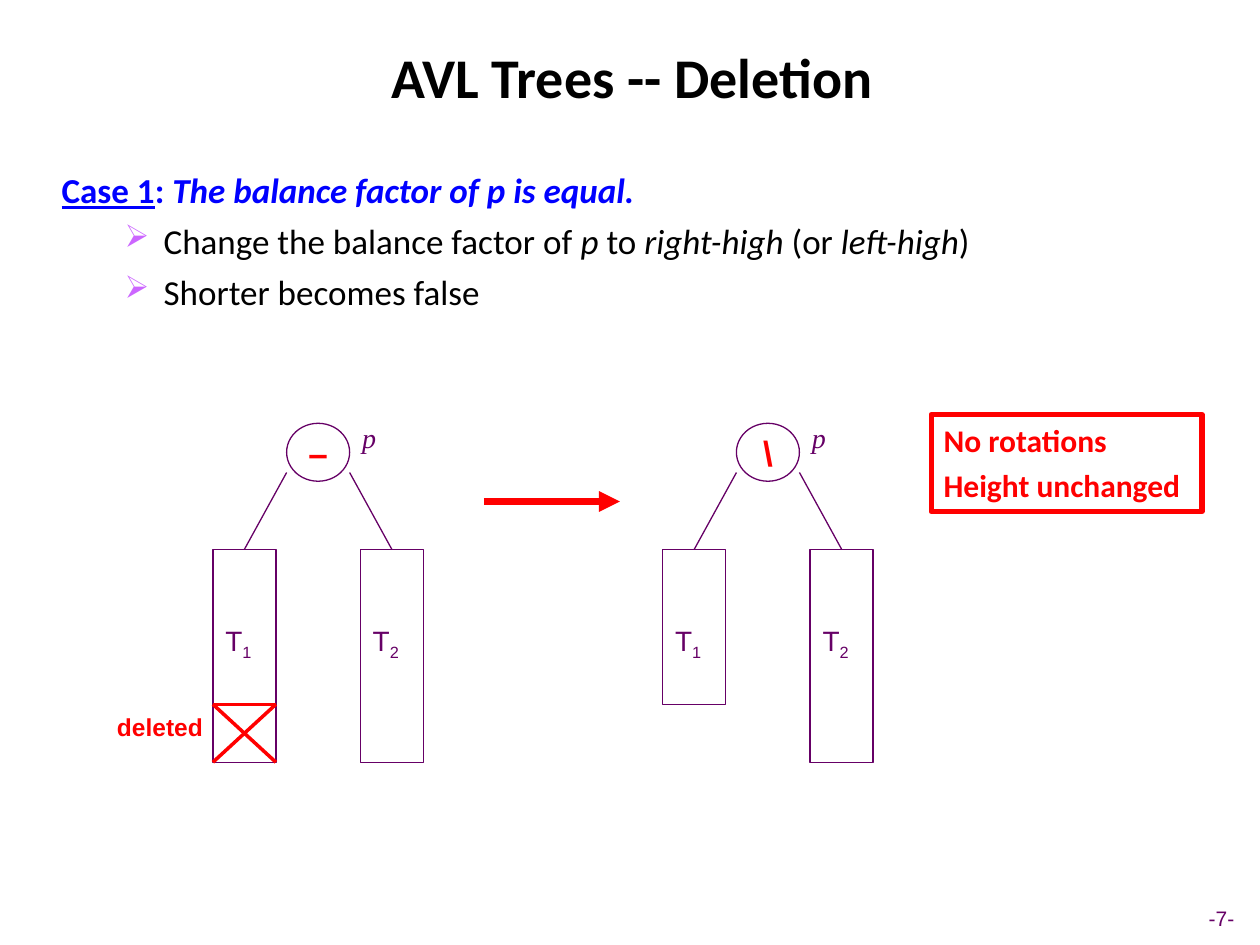
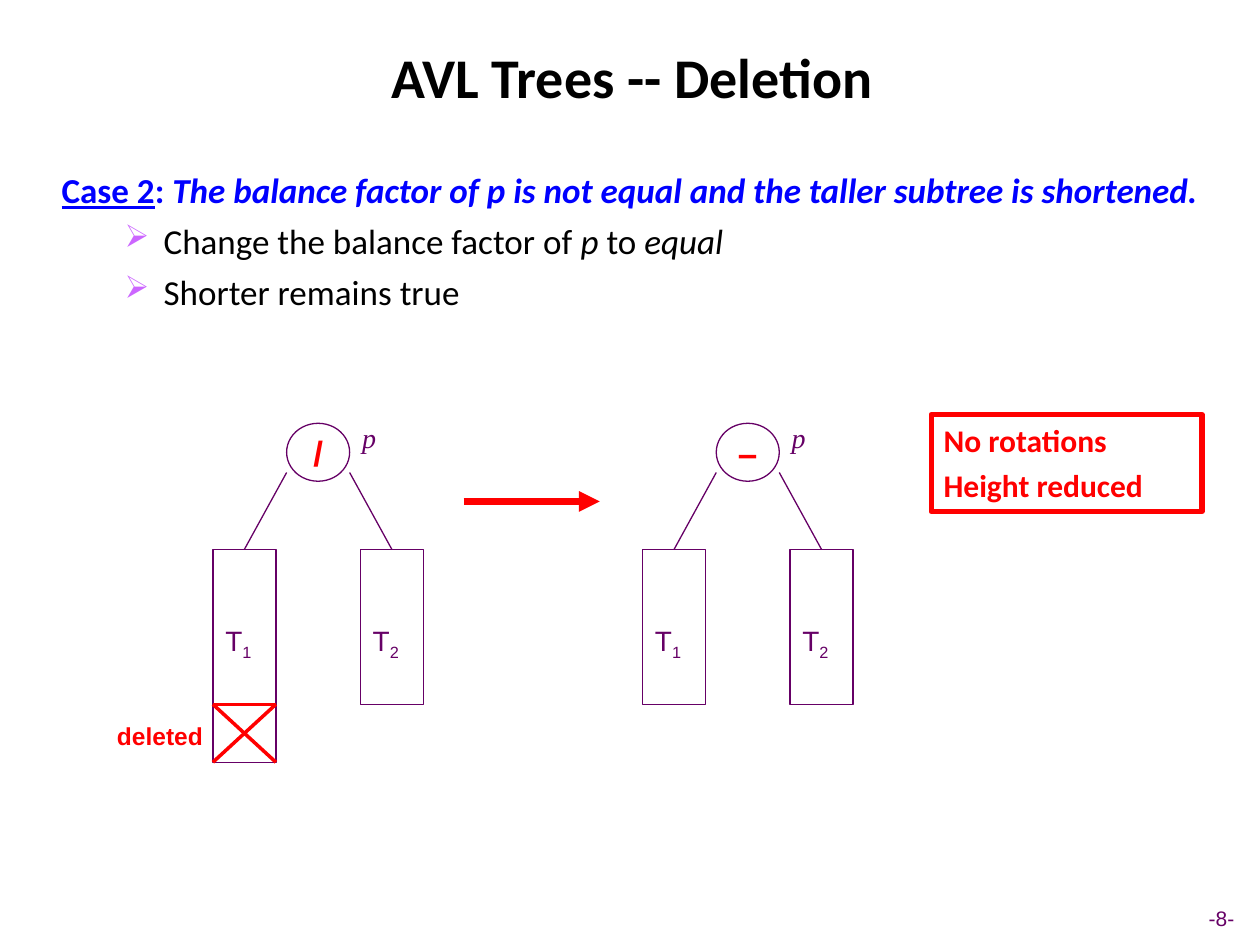
from lxml import etree
from pptx import Presentation
from pptx.dml.color import RGBColor
from pptx.enum.shapes import MSO_CONNECTOR, MSO_SHAPE
from pptx.enum.text import MSO_ANCHOR, PP_ALIGN
from pptx.oxml.ns import qn
from pptx.util import Inches, Pt

STRAIGHT = MSO_CONNECTOR.STRAIGHT
RECTANGLE, OVAL = MSO_SHAPE.RECTANGLE, MSO_SHAPE.OVAL
TOP, MIDDLE = MSO_ANCHOR.TOP, MSO_ANCHOR.MIDDLE
LEFT, CENTER = PP_ALIGN.LEFT, PP_ALIGN.CENTER

BLACK = RGBColor(0x00, 0x00, 0x00)
BLUE = RGBColor(0x00, 0x00, 0xFF)
RED = RGBColor(0xFF, 0x00, 0x00)
PURPLE = RGBColor(0x66, 0x00, 0x66)
BULLET_COLOR = "CC66FF"

HEADING_FONT, LABEL_FONT, MATH_FONT = "Calibri", "Arial", "Times New Roman"

TREE_TOP = 3.36
LEFT_TREE_X = 1.69
NODE_WIDTH, NODE_HEIGHT = 0.5, 0.46
SUBTREE_TOP, SUBTREE_STEP = 1.0, 1.17
TALL, SHORT = 1.69, 1.23

CASES = [
    {
        "page": 7,
        "name": "Case 1",
        "condition": "The balance factor of p is equal.",
        "steps": [
            [("Change the balance factor of ", ""), ("p", "i"), (" to ", ""),
             ("right-high", "i"), (" (or ", ""), ("left-high", "i"), (")", "")],
            [("Shorter becomes false", "")],
        ],
        "body_width": 8.38,
        "before": ("–", TALL, TALL),
        "after": ("\\", SHORT, TALL),
        "after_x": 5.26,
        "deleted_y": 5.6,
        "height_result": "Height unchanged",
    },
    {
        "page": 8,
        "name": "Case 2",
        "condition": "The balance factor of p is not equal and the taller subtree is shortened.",
        "steps": [
            [("Change the balance factor of ", ""), ("p ", "i"), ("to ", ""), ("equal", "i")],
            [("Shorter remains true", "")],
        ],
        "body_width": 9.61,
        "before": ("/", TALL, SHORT),
        "after": ("–", SHORT, SHORT),
        "after_x": 5.1,
        "deleted_y": 5.67,
        "height_result": "Height reduced",
    },
]


def box(x, y, width, height):
    return Inches(x), Inches(y), Inches(width), Inches(height)


def set_font(paragraph, name, size, color, bold=False, italic=False):
    font = paragraph.font
    font.name, font.size = name, Pt(size)
    font.color.rgb = color
    font.bold, font.italic = bold, italic


def add_runs(paragraph, runs):
    """Add (text, style) runs; a style is i, u, sub or empty."""
    for text, style in runs:
        run = paragraph.add_run()
        run.text = text
        if style == "i":
            run.font.italic = True
        elif style == "u":
            run.font.underline = True
        elif style == "sub":
            run._r.get_or_add_rPr().set("baseline", "-25000")


def add_label(shapes, place, runs, name, size, color, bold=False, italic=False):
    frame = shapes.add_textbox(*box(*place)).text_frame
    frame.word_wrap = True
    paragraph = frame.paragraphs[0]
    add_runs(paragraph, runs)
    set_font(paragraph, name, size, color, bold, italic)
    return frame


def add_outline(shapes, kind, place, color, weight):
    outline = shapes.add_shape(kind, *box(*place))
    outline.shadow.inherit = False
    outline.fill.background()
    outline.line.color.rgb = color
    outline.line.width = Pt(weight)
    return outline


def add_line(shapes, start, end, color, weight, arrow=False):
    line = shapes.add_connector(STRAIGHT, *(Inches(v) for v in (*start, *end)))
    line.line.color.rgb = color
    line.line.width = Pt(weight)
    if arrow:
        etree.SubElement(line.line._get_or_add_ln(), qn("a:tailEnd"), type="triangle")
    etree.SubElement(line._element.spPr, qn("a:effectLst"))


def add_bullet(paragraph):
    props = paragraph._p.get_or_add_pPr()
    props.set("marL", str(Inches(0.81)))
    props.set("indent", str(-Inches(0.31)))
    color = etree.SubElement(props, qn("a:buClr"))
    etree.SubElement(color, qn("a:srgbClr"), val=BULLET_COLOR)
    etree.SubElement(props, qn("a:buSzPct"), val="90000")
    etree.SubElement(props, qn("a:buChar"), char="➢")


def add_title_and_page(slide, page):
    title = slide.shapes.title
    title.left, title.top, title.width, title.height = box(0.38, 0.13, 9.27, 0.95)
    title.text_frame.text = "AVL Trees -- Deletion"
    title.text_frame.vertical_anchor = MIDDLE
    heading = title.text_frame.paragraphs[0]
    heading.alignment = CENTER
    set_font(heading, HEADING_FONT, 32, BLACK, bold=True)

    number = add_label(slide.shapes, (9.16, 7.14, 1.07, 0.3), [(f"-{page}-", "")],
                       LABEL_FONT, 12, PURPLE)
    number.word_wrap = False
    number.vertical_anchor = MIDDLE
    number.paragraphs[0].alignment = CENTER


def add_case_text(slide, case):
    runs = [(case["name"], "u"), (": ", ""), (case["condition"], "i")]
    frame = add_label(slide.shapes, (0.39, 1.29, case["body_width"], 1.46), runs,
                      HEADING_FONT, 20, BLUE, bold=True)
    for step in case["steps"]:
        paragraph = frame.add_paragraph()
        paragraph.level = 1
        add_bullet(paragraph)
        paragraph.space_before = Pt(5)
        add_runs(paragraph, step)
        set_font(paragraph, HEADING_FONT, 20, BLACK)


def add_tree(shapes, x, y, balance, *subtree_heights):
    """Draw node p with its balance sign and two subtrees, from the corner (x, y)."""
    node_x = x + (SUBTREE_STEP + NODE_WIDTH) / 2 - NODE_WIDTH / 2
    node = add_outline(shapes, OVAL, (node_x, y, NODE_WIDTH, NODE_HEIGHT), PURPLE, 0.75)
    frame = node.text_frame
    frame.margin_left = frame.margin_right = frame.margin_top = frame.margin_bottom = 0
    frame.vertical_anchor = MIDDLE
    sign = frame.paragraphs[0]
    sign.text = balance
    sign.alignment = CENTER
    set_font(sign, LABEL_FONT, 20, RED, bold=True)
    add_label(shapes, (node_x + NODE_WIDTH, y - 0.07, 0.58, 0.37), [("p", "")],
              MATH_FONT, 16, PURPLE, italic=True)

    for index, height in enumerate(subtree_heights):
        left, top = x + index * SUBTREE_STEP, y + SUBTREE_TOP
        add_outline(shapes, RECTANGLE, (left, top, NODE_WIDTH, height), PURPLE, 0.75)
        add_line(shapes, (node_x + index * NODE_WIDTH, y + 0.39),
                 (left + NODE_WIDTH / 2, top), PURPLE, 0.75)
        add_label(shapes, (left, top + 0.54, NODE_WIDTH, 0.41),
                  [("T", ""), (str(index + 1), "sub")], LABEL_FONT, 16, PURPLE)


def add_deleted_mark(shapes, x, y, label_y):
    """Cross out the part of a subtree between its short and tall heights."""
    right, bottom = x + NODE_WIDTH, y + TALL - SHORT
    for start, end in (((x, y), (right, y)),
                       ((x, y), (right, bottom)),
                       ((right, y), (x, bottom))):
        add_line(shapes, start, end, RED, 2)
    add_label(shapes, (x - 0.86, label_y, 1.17, 0.34), [("deleted", "")],
              LABEL_FONT, 14, RED, bold=True)


def add_result(slide, height_result):
    result = add_outline(slide.shapes, RECTANGLE, (7.39, 3.29, 2.15, 0.77), RED, 3)
    frame = result.text_frame
    frame.vertical_anchor = TOP
    frame.text = f"No rotations\n{height_result}"
    for paragraph in frame.paragraphs:
        paragraph.alignment = LEFT
        set_font(paragraph, HEADING_FONT, 18, RED, bold=True)
    frame.paragraphs[1].space_before = Pt(4.5)


def add_case_slide(deck, case):
    slide = deck.slides.add_slide(deck.slide_layouts[5])
    add_title_and_page(slide, case["page"])
    add_case_text(slide, case)

    diagram = slide.shapes.add_group_shape().shapes
    after_x = case["after_x"]
    add_tree(diagram, LEFT_TREE_X, TREE_TOP, *case["before"])
    add_deleted_mark(diagram, LEFT_TREE_X, TREE_TOP + SUBTREE_TOP + SHORT, case["deleted_y"])
    add_tree(diagram, after_x, TREE_TOP, *case["after"])
    arrow_x, arrow_y = after_x - 1.42, TREE_TOP + 0.62
    add_line(diagram, (arrow_x, arrow_y), (arrow_x + 1.08, arrow_y), RED, 4, arrow=True)

    add_result(slide, case["height_result"])


def main():
    deck = Presentation()
    deck.slide_width, deck.slide_height = Inches(10), Inches(7.5)
    for case in CASES:
        add_case_slide(deck, case)
    deck.save("out.pptx")


if __name__ == "__main__":
    main()
